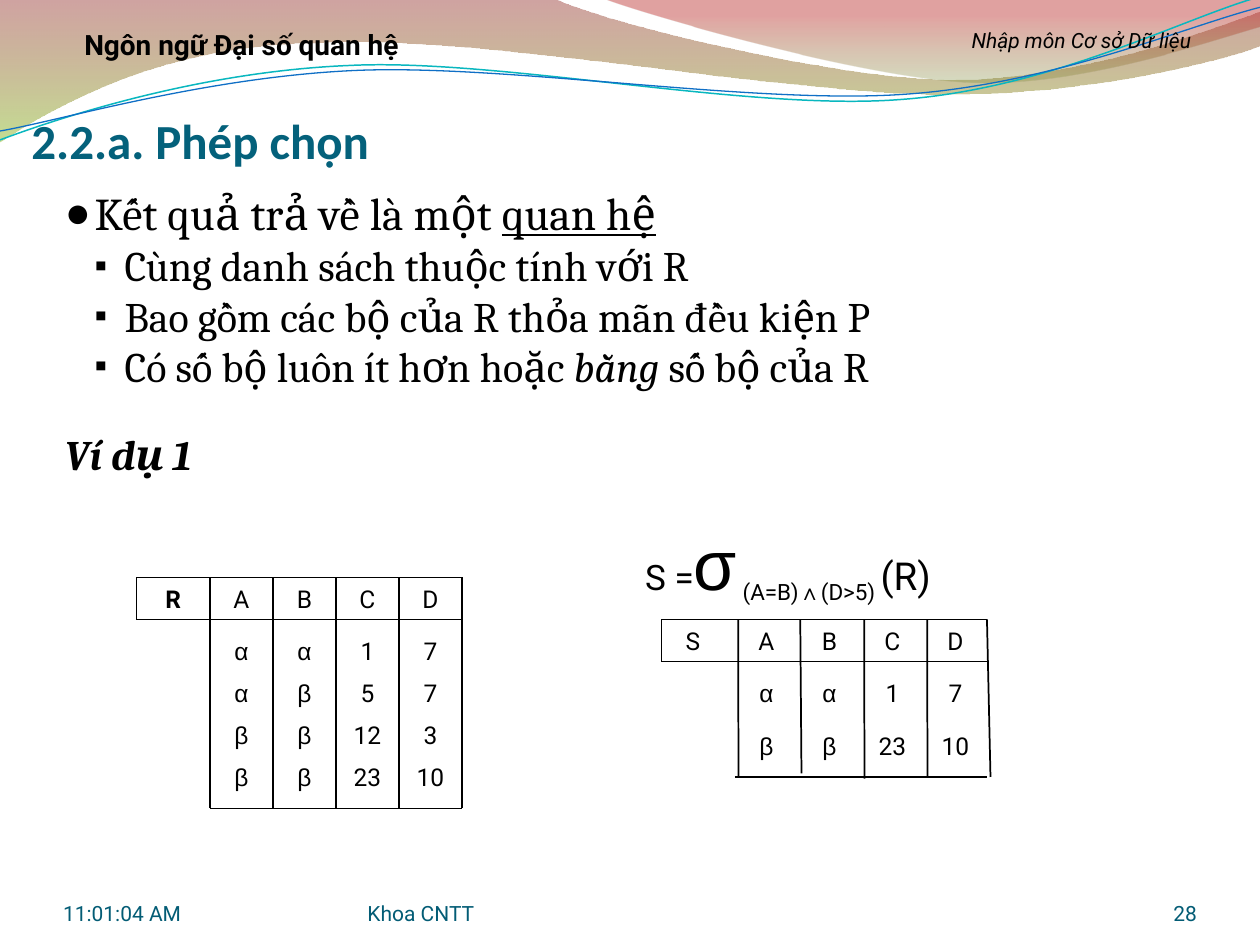
from pptx import Presentation
from pptx.util import Pt
from pptx.dml.color import RGBColor
from pptx.enum.shapes import MSO_CONNECTOR as Conn
from pptx.enum.text import PP_ALIGN as Al, MSO_ANCHOR as Anc
from pptx.oxml.ns import qn
from lxml.etree import SubElement as Sub

BLACK, TEAL, TITLE = "000000", "035C75", "04617B"

# Header waves: pairs are straight steps, sixes are Bezier steps
BANDS = [
    ([(0, -0.7), (316.8, -0.7), (342.7, 12.2, 477.4, 45.4, 545.8, 45.4),
      (614.2, 45.4, 689.8, 18, 720, 6.5), (720.7, 25.9),
      (707.8, 31.7, 626.4, 54.7, 537.1, 54), (447.8, 54, 275, 20.2, 185, 24.5),
      (92.9, 25.2, 33.1, 59.8, -0.7, 81.4)],
     [(0, "973330", 45), (1, "95C238", 55)], 270),
    ([(344.9, -0.7), (366.5, 7.9, 491, 43.9, 553.7, 46.8),
      (615.6, 49.7, 691.9, 23, 720, 15.1), (720, 0)],
     [(0, "769537", 30), (0.8, "BE3330", 45)], 90),
]
WAVES = [
    ([(-1.4, 63), (33.8, 51.7, 114.1, 29.4, 199.8, 29.9),
      (284.9, 29.6, 425.1, 66.6, 512.5, 64.2),
      (599, 62.4, 676.5, 25.7, 720.2, 15.5)], "09B7BF", 0.85),
    ([(-1.1, 57.9), (32.9, 53.7, 118.3, 32.5, 204.1, 32.9),
      (290.6, 33.4, 428.9, 63.1, 515.5, 61.3),
      (601.3, 59.6, 678.4, 30, 721.4, 21.2)], "0F6FC6", 0.75),
]
TILT = 357.3

# Body: runs, bullet, bullet size %, indent, text size, line height, space before
BODY = [
    ([("Kết quả trả về là một ", {}), ("quan hệ", {"line": True})],
     "●", 95, 17.1, 26, 31.4, 0),
    ([("Cùng danh sách thuộc tính với R", {})], "▪", 85, 34.1, 24, 28.8, 0),
    ([("Bao gồm các bộ của R thỏa mãn đều kiện P", {})], "▪", 85, 34.1, 24, 28.8, 0),
    ([("Có số bộ luôn ít hơn hoặc ", {}), ("bằng", {"ital": True}),
      (" số bộ của R", {})], "▪", 85, 34.1, 24, 28.8, 0),
    ([("Ví dụ 1", {"bold": True, "ital": True})], None, 0, 0, 24, 28.8, 21.4),
]

FORMULA = [
    ("S =", {"size": 20}), ("σ", {"size": 40, "font": "Arial"}),
    (" (A=B)", {"size": 22, "base": -25}),
    ("∧", {"size": 22, "font": "Arial", "bold": True, "base": -25}),
    ("(D>5) ", {"size": 22, "base": -25}), ("(R) ", {"size": 22}),
]

# Relations: name, bold, name width, left, top, bottom, first row, row pitch,
# rows, column rules (top x, foot x, foot y)
RELS = [
    ("R", True, 42, 78, 330, 462, 360, 24,
     ["αα17", "αβ57", ("β", "β", "12", "3"), ("β", "β", "23", "10")],
     [(120 + 36 * i, 120 + 36 * i, 462) for i in range(5)]),
    ("S", False, 36, 378, 354, 444, 384, 30,
     ["αα17", ("β", "β", "23", "10")],
     [(421.8, 422, 444), (457.3, 458, 442), (493.8, 494, 445),
      (529.8, 530, 444), (564, 566, 444)]),
]
HEAD_W, COL_W, ROW_H = 42, 36, 24

deck = Presentation()
deck.slide_width, deck.slide_height = Pt(720), Pt(540)
slide = deck.slides.add_slide(deck.slide_layouts[6])
shapes = slide.shapes


def rgb(code):
    return RGBColor.from_string(code)


def add_run(para, text, size=14, font="Roboto", color=BLACK, bold=False,
            ital=False, line=False, base=0):
    run = para.add_run()
    run.text = text
    face = run.font
    face.size, face.name, face.color.rgb = Pt(size), font, rgb(color)
    face.bold, face.italic, face.underline = bold, ital, line
    if base:
        run._r.get_or_add_rPr().set("baseline", str(base * 1000))


def add_box(box, pads=(7.2, 3.6, 7.2, 3.6), anchor=Anc.TOP):
    frame = shapes.add_textbox(*map(Pt, box)).text_frame
    frame.word_wrap, frame.vertical_anchor = True, anchor
    (frame.margin_left, frame.margin_top,
     frame.margin_right, frame.margin_bottom) = map(Pt, pads)
    return frame


def add_text(text, box, align=Al.CENTER, pads=(7.2, 3.6, 7.2, 3.6),
             anchor=Anc.TOP, **style):
    para = add_box(box, pads, anchor).paragraphs[0]
    para.alignment = align
    for part, extra in [(text, {})] if isinstance(text, str) else text:
        add_run(para, part, **style, **extra)


def add_rule(x1, y1, x2, y2):
    rule = shapes.add_connector(Conn.STRAIGHT, *map(Pt, (x1, y1, x2, y2)))
    rule.line.color.rgb, rule.line.width = rgb(BLACK), Pt(1)
    Sub(rule._element.spPr, qn("a:effectLst"))


def add_free(steps, close):
    """Draw all points as straight steps, then join threes into curves."""
    dots = [(Pt(s[i]), Pt(s[i + 1])) for s in steps for i in range(0, len(s), 2)]
    pen = shapes.build_freeform(*dots[0])
    pen.add_line_segments(dots[1:], close=close)
    shape = pen.convert_to_shape()
    shape.shadow.inherit = False
    legs = iter(list(shape._element.spPr.iter(qn("a:lnTo"))))
    for step in steps[1:]:
        leg = next(legs)
        if len(step) == 6:
            leg.tag = qn("a:cubicBezTo")
            for _ in range(2):
                extra = next(legs)
                leg.append(extra[0])
                extra.getparent().remove(extra)
    return shape


# Header bands and waves
for steps, stops, angle in BANDS:
    band = add_free(steps, True)
    band.line.fill.background()
    band.fill.gradient()
    band.fill.gradient_angle = angle
    for stop, (pos, color, _) in zip(band.fill.gradient_stops, stops):
        stop.position, stop.color.rgb = pos, rgb(color)
    tints = band._element.spPr.iter(qn("a:srgbClr"))
    for tint, (_, _, alpha) in zip(list(tints), stops):
        Sub(tint, qn("a:alpha"), val=str(alpha * 1000))
for steps, color, width in WAVES:
    wave = add_free(steps, False)
    wave.rotation = TILT
    wave.fill.background()
    wave.line.color.rgb, wave.line.width = rgb(color), Pt(width)

# Body list
body = add_box((30, 102, 654, 402))
for n, (runs, mark, scale, left, size, height, gap) in enumerate(BODY):
    para = body.add_paragraph() if n else body.paragraphs[0]
    para.line_spacing = Pt(height)
    if gap:
        para.space_before = Pt(gap)
    if mark:
        props = para._p.get_or_add_pPr()
        props.set("marL", str(Pt(left)))
        props.set("indent", str(Pt(-17.1)))
        props.set("lvl", "1" if mark == "▪" else "0")
        Sub(props, qn("a:buSzPct"), val=str(scale * 1000))
        Sub(props, qn("a:buFont"), typeface="Arial")
        Sub(props, qn("a:buChar"), char=mark)
    for text, style in runs:
        add_run(para, text, size=size, font="Cambria", **style)

# Selection formula
add_text(FORMULA, (336, 294, 234, 54.6))

# Relations R and S
for name, bold, wide, left, top, foot, first, pitch, rows, rules in RELS:
    start = left + HEAD_W
    end = start + 4 * COL_W
    add_text(name, (left, top, wide, ROW_H), bold=bold)
    lines = [(top, "ABCD")] + [(first + pitch * i, row) for i, row in enumerate(rows)]
    for y, cells in lines:
        for i, cell in enumerate(cells):
            add_text(cell, (start + COL_W * i, y, COL_W, ROW_H),
                     font="Arial" if cell in "αβ" else "Roboto")
    for x, y in ((left, top), (left, top + ROW_H), (start, foot)):
        add_rule(x, y, end, y)
    add_rule(left, top, left, top + ROW_H)
    for x1, x2, y2 in rules:
        add_rule(x1, top, x2, y2)

# Headings
add_text("Nhập môn Cơ sở Dữ liệu", (516, 12, 204, 21.6), size=12, ital=True)
add_text("Ngôn ngữ Đại số quan hệ", (18, 12, 240, 26), size=16, bold=True)
add_text("2.2.a. Phép chọn", (18, 48, 648, 49), align=Al.LEFT, anchor=Anc.BOTTOM,
         pads=(0, 3.6, 0, 0), size=28, font="Calibri", color=TITLE, bold=True)

# Footer
for text, left, width, align in (("11:01:04 AM", 36, 168, Al.LEFT),
                                 ("Khoa CNTT", 210, 264, Al.LEFT),
                                 ("28", 624, 60, Al.RIGHT)):
    add_text(text, (left, 500.4, width, 28.8), align=align, anchor=Anc.BOTTOM,
             pads=(0, 0, 0, 0), size=12, color=TEAL)

deck.save("out.pptx")
